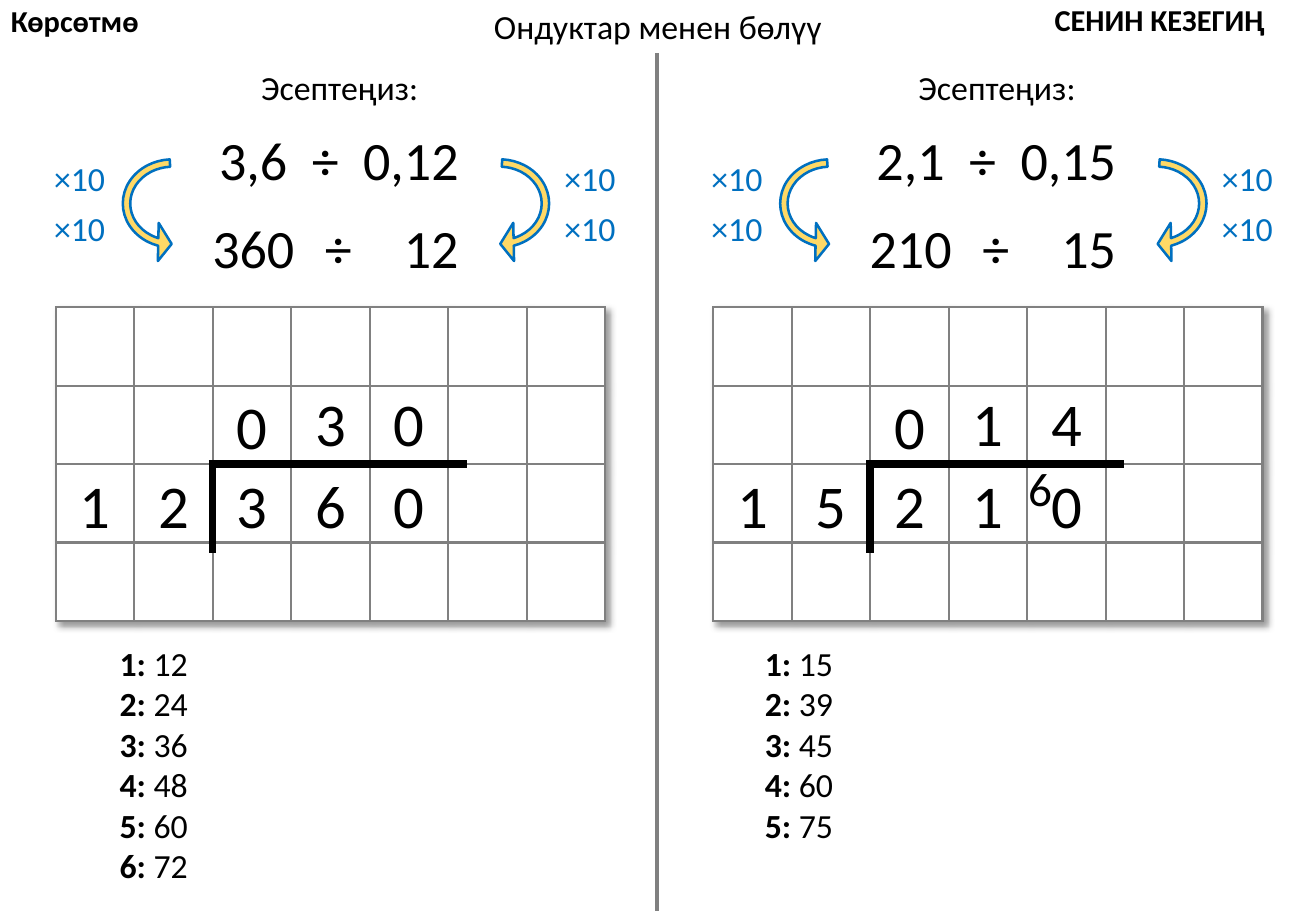
from lxml.etree import SubElement
from pptx import Presentation
from pptx.dml.color import RGBColor
from pptx.enum.shapes import MSO_CONNECTOR, MSO_SHAPE
from pptx.enum.text import MSO_AUTO_SIZE, PP_ALIGN
from pptx.oxml.ns import qn
from pptx.util import Inches, Pt

BLACK = RGBColor(0x00, 0x00, 0x00)
WHITE = RGBColor(0xFF, 0xFF, 0xFF)
GREY = RGBColor(0x80, 0x80, 0x80)
BLUE = RGBColor(0x00, 0x70, 0xC0)
GOLD = RGBColor(0xFF, 0xD9, 0x66)

PANEL_WIDTH = 5.41
GRID_LEFT, GRID_TOP = 0.46, 2.53
GRID_ROWS, GRID_COLUMNS = 4, 7
CELL = 0.646
ARROW_ADJUSTMENTS = (0.062, 11.423, 203.847, 110.164, 0.16)


def add_text(page, left, top, width, height, paragraphs, size,
             color=BLACK, align=PP_ALIGN.CENTER):
    """Each paragraph is a list of (text, bold, extra letter spacing in points)."""
    box = page.shapes.add_textbox(Inches(left), Inches(top), Inches(width), Inches(height))
    frame = box.text_frame
    frame.word_wrap = False
    frame.auto_size = MSO_AUTO_SIZE.SHAPE_TO_FIT_TEXT
    for index, spans in enumerate(paragraphs):
        para = frame.add_paragraph() if index else frame.paragraphs[0]
        para.alignment = align
        for text, bold, spacing in spans:
            span = para.add_run()
            span.text = text
            span.font.name = "Calibri"
            span.font.size = Pt(size)
            span.font.bold = bold
            span.font.color.rgb = color
            if spacing:
                span.font._element.set("spc", str(round(spacing * 100)))


def add_label(page, left, top, width, height, text, size, color=BLACK,
              bold=False, align=PP_ALIGN.CENTER):
    add_text(page, left, top, width, height, [[(text, bold, 0)]], size, color, align)


def add_line(page, x1, y1, x2, y2, color, weight):
    line = page.shapes.add_connector(
        MSO_CONNECTOR.STRAIGHT, Inches(x1), Inches(y1), Inches(x2), Inches(y2))
    line.line.color.rgb = color
    line.line.width = Pt(weight)
    SubElement(line._element.spPr, qn("a:effectLst"))


def add_borders(cell):
    properties = cell._tc.get_or_add_tcPr()
    for index, side in enumerate(("a:lnL", "a:lnR", "a:lnT", "a:lnB")):
        border = properties.makeelement(qn(side), {"w": str(Pt(1.5))})
        properties.insert(index, border)
        fill = SubElement(border, qn("a:solidFill"))
        SubElement(fill, qn("a:srgbClr"), val=str(GREY))


def add_table_shadow(table):
    properties = table._tbl.tblPr
    effects = properties.makeelement(qn("a:effectLst"), {})
    properties.insert(0, effects)
    shadow = SubElement(effects, qn("a:outerShdw"), blurRad=str(Pt(4)), dist=str(Pt(3)),
                        dir="2700000", algn="tl", rotWithShape="0")
    color = SubElement(shadow, qn("a:srgbClr"), val=str(BLACK))
    SubElement(color, qn("a:alpha"), val="40000")


def add_grid(page, left):
    frame = page.shapes.add_table(
        GRID_ROWS, GRID_COLUMNS, Inches(left + GRID_LEFT), Inches(GRID_TOP),
        Inches(CELL * GRID_COLUMNS), Inches(CELL * GRID_ROWS))
    table = frame.table
    table.first_row = table.horz_banding = False
    for column in table.columns:
        column.width = Inches(CELL)
    for row in table.rows:
        row.height = Inches(CELL)
    for cell in table.iter_cells():
        cell.fill.solid()
        cell.fill.fore_color.rgb = WHITE
        add_borders(cell)
    add_table_shadow(table)


def add_times_ten_arrow(page, left, flipped):
    arrow = page.shapes.add_shape(
        MSO_SHAPE.CIRCULAR_ARROW, Inches(left), Inches(1.14), Inches(0.98), Inches(1.07))
    arrow.shadow.inherit = False
    for index, value in enumerate(ARROW_ADJUSTMENTS):
        arrow.adjustments[index] = value
    arrow.rotation = 90
    if flipped:
        arrow._element.spPr.find(qn("a:xfrm")).set("flipV", "1")
    arrow.fill.solid()
    arrow.fill.fore_color.rgb = GOLD
    arrow.line.color.rgb = BLUE
    arrow.line.width = Pt(1.5)


def add_question(page, left, decimals, dividend, divisor):
    add_label(page, left + 2.04, 0.5, 1.51, 0.44, "Эсептеңиз:", 20)
    first, second = decimals
    wide_space = (" ", False, 7.2)
    add_text(page, left + 1.69, 0.99, 2.2, 0.64, [[
        (first, False, 0), wide_space, ("÷", False, 0), wide_space, (second, False, 0)]], 32)
    for offset, width, text in ((1.64, 0.89, dividend), (2.57, 0.43, "÷"), (3.22, 0.66, divisor)):
        add_label(page, left + offset, 1.72, width, 0.64, text, 32)
    for arrow_left, label_left, flipped in ((3.62, 4.54, False), (0.93, 0.34, True)):
        add_times_ten_arrow(page, left + arrow_left, flipped)
        for top in (1.25, 1.66):
            add_label(page, left + label_left, top, 0.63, 0.44, "×10", 20, BLUE)


def add_long_division(page, left, dividend, divisor, quotient, carry):
    add_grid(page, left)
    add_line(page, left + 1.72, 3.82, left + 3.84, 3.82, BLACK, 4.5)
    add_line(page, left + 1.75, 3.81, left + 1.75, 4.55, BLACK, 4.5)
    digit_width = 0.46
    first_digit = left + GRID_LEFT + (CELL - digit_width) / 2
    for column, digit in enumerate(divisor + dividend):
        add_label(page, first_digit + column * CELL, 3.8, digit_width, 0.71, digit, 36)
    for column, digit in enumerate(quotient, len(divisor)):
        top = 3.15 if column == len(divisor) else 3.13
        add_label(page, first_digit + column * CELL, top, digit_width, 0.71, digit, 36)
    if carry:
        add_label(page, left + 2.95, 3.73, 0.4, 0.57, carry, 28)


def add_multiples(page, left, multiples):
    lines = [[(f"{factor}:", True, 0), (f" {multiple}", False, 0)]
             for factor, multiple in enumerate(multiples, 1)]
    add_text(page, left, 5.24, 0.77, 0.1 + 0.337 * len(lines), lines, 20)


def add_panel(page, left, decimals, dividend, divisor, quotient, multiples,
              multiples_left, carry=""):
    add_question(page, left, decimals, dividend, divisor)
    add_long_division(page, left, dividend, divisor, quotient, carry)
    add_multiples(page, left + multiples_left, multiples)


def add_headings(page):
    add_line(page, PANEL_WIDTH, 0.44, PANEL_WIDTH, 7.5, GREY, 2.25)
    add_label(page, 3.95, 0, 2.93, 0.44, "Ондуктар менен бөлүү", 20)
    add_label(page, -0.01, -0.03, 1.38, 0.4, "Көрсөтмө", 18, bold=True, align=PP_ALIGN.LEFT)
    add_label(page, 8.58, -0.04, 2.27, 0.4, "СЕНИН КЕЗЕГИҢ", 18, bold=True, align=PP_ALIGN.LEFT)


def main():
    deck = Presentation()
    deck.slide_width, deck.slide_height = Inches(10.83), Inches(7.5)
    page = deck.slides.add_slide(deck.slide_layouts[6])
    add_headings(page)
    add_panel(page, 0, ("3,6", "0,12"), "360", "12", "030",
              (12, 24, 36, 48, 60, 72), 0.88)
    add_panel(page, PANEL_WIDTH, ("2,1", "0,15"), "210", "15", "014",
              (15, 39, 45, 60, 75), 0.78, carry="6")
    deck.save("out.pptx")


if __name__ == "__main__":
    main()
